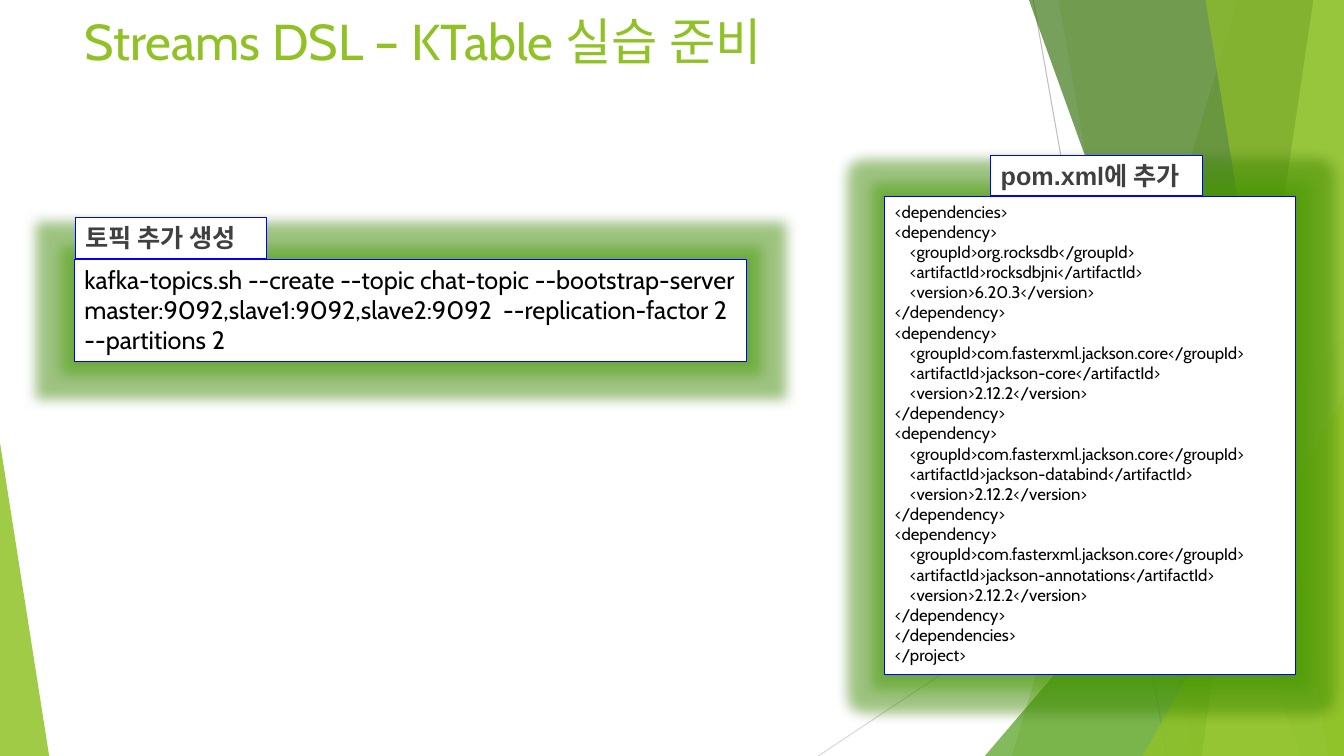
import lxml.etree
import pptx
import pptx.dml.color
import pptx.enum.shapes
import pptx.oxml.ns
import pptx.util

Cm, Pt = pptx.util.Cm, pptx.util.Pt
SHAPE = pptx.enum.shapes.MSO_SHAPE
qn = pptx.oxml.ns.qn

# Content
TITLE = "Streams DSL – KTable 실습 준비"
TOPIC_LABEL = "토픽 추가 생성"
TOPIC_COMMAND = ("kafka-topics.sh --create --topic chat-topic --bootstrap-server "
                 "master:9092,slave1:9092,slave2:9092  --replication-factor 2 --partitions 2")
POM_LABEL = "pom.xml에 추가"
DEPENDENCIES = [
    ("org.rocksdb", "rocksdbjni", "6.20.3"),
    ("com.fasterxml.jackson.core", "jackson-core", "2.12.2"),
    ("com.fasterxml.jackson.core", "jackson-databind", "2.12.2"),
    ("com.fasterxml.jackson.core", "jackson-annotations", "2.12.2"),
]
COLORS = {
    "lime": "90C226", "green": "54A021", "forest": "3F7819", "pale": "C0E474",
    "glow": "4AA800", "border": "0000FF", "white": "FFFFFF", "black": "000000",
    "label": "404040", "line": "BFBFBF", "faint line": "D9D9D9",
}
WIDTH, HEIGHT = 33.87, 19.05

# Decoration, in cm: every piece reaches the bottom of the slide
RAYS = [(26.04, 0, 29.41, HEIGHT, "line"), (WIDTH, 10.24, 20.62, HEIGHT, "faint line")]
# kind, left x at top / left, left x at bottom / top, colour, opacity in percent
BANDS = [
    ("band", 31.19, 25.5, "lime", 30),
    ("band", 26.67, 30.05, "lime", 20),
    ("triangle", 24.82, 8.46, "green", 72),
    ("band", 25.93, 32.79, "forest", 70),
    ("band", 33.1, 30.28, "pale", 70),
    ("band", 30.38, 33.48, "lime", 65),
    ("triangle", 28.8, 9.98, "lime", 80),
]
LEFT_TRIANGLE = (0, 11.15, 1.24)

prs = pptx.Presentation()
prs.slide_width, prs.slide_height = Cm(WIDTH), Cm(HEIGHT)
s = prs.slides.add_slide(prs.slide_layouts[6])


def rgb(name):
    return pptx.dml.color.RGBColor.from_string(COLORS[name])


def add_alpha(color, percent):
    lxml.etree.SubElement(color, qn("a:alpha"), val=str(percent * 1000))


def paint(sp, color, opacity):
    sp.shadow.inherit = False
    sp.fill.solid()
    sp.fill.fore_color.rgb = rgb(color)
    sp.line.fill.background()
    add_alpha(sp.fill._xPr.find(".//" + qn("a:srgbClr")), opacity)


def add_triangle(left, top, width, apex):
    sp = s.shapes.add_shape(SHAPE.ISOSCELES_TRIANGLE, Cm(left), Cm(top),
                            Cm(width), Cm(HEIGHT - top))
    sp.adjustments[0] = apex
    return sp


def add_band(top_x, bottom_x):
    fb = s.shapes.build_freeform(Cm(top_x), 0)
    fb.add_line_segments([(Cm(WIDTH), 0), (Cm(WIDTH), Cm(HEIGHT)),
                          (Cm(bottom_x), Cm(HEIGHT))])
    return fb.convert_to_shape()


def add_effect(effects, tag, color, opacity, **attributes):
    effect = lxml.etree.SubElement(effects, qn(tag), **attributes)
    add_alpha(lxml.etree.SubElement(effect, qn("a:srgbClr"), val=COLORS[color]), opacity)


def write(sp, lines, size, font, color, bold=False):
    tf = sp.text_frame
    tf.word_wrap = True
    tf.vertical_anchor = pptx.enum.text.MSO_ANCHOR.TOP
    tf.text = "\n".join(lines)
    for p in tf.paragraphs:
        p.alignment = pptx.enum.text.PP_ALIGN.LEFT
        for r in p.runs:
            r.font.size, r.font.name, r.font.bold = Pt(size), font, bold
            r.font.color.rgb = rgb(color)


def add_box(left, top, width, height, lines, size, font, color, bold=False, glow=False):
    sp = s.shapes.add_shape(SHAPE.RECTANGLE, Cm(left), Cm(top), Cm(width), Cm(height))
    sp.shadow.inherit = False
    sp.fill.solid()
    sp.fill.fore_color.rgb = rgb("white")
    sp.line.color.rgb = rgb("border")
    sp.line.width = Pt(0.75)
    if glow:
        effects = sp._element.spPr.find(qn("a:effectLst"))
        add_effect(effects, "a:glow", "glow", 40, rad=str(Pt(18)))
        add_effect(effects, "a:outerShdw", "black", 40, blurRad=str(Pt(5)), dist="0", dir="0")
    write(sp, lines, size, font, color, bold)


# Background rays and bands
for x1, y1, x2, y2, color in RAYS:
    ray = s.shapes.add_connector(pptx.enum.shapes.MSO_CONNECTOR.STRAIGHT,
                                 Cm(x1), Cm(y1), Cm(x2), Cm(y2))
    ray.line.color.rgb = rgb(color)
    ray.line.width = Pt(0.75)
    lxml.etree.SubElement(ray._element.spPr, qn("a:effectLst"))
for kind, a, b, color, opacity in BANDS:
    sp = add_band(a, b) if kind == "band" else add_triangle(a, b, WIDTH - a, 1)
    paint(sp, color, opacity)
paint(add_triangle(*LEFT_TRIANGLE, 0), "lime", 85)

# Dependency listing
pom_lines = ["<dependencies>"]
for group, artifact, version in DEPENDENCIES:
    pom_lines += ["<dependency>",
                  f"    <groupId>{group}</groupId>",
                  f"    <artifactId>{artifact}</artifactId>",
                  f"    <version>{version}</version>",
                  "</dependency>"]
pom_lines += ["</dependencies>", "</project>"]
add_box(22.3, 4.95, 10.36, 12.06, pom_lines, 12, "Cabin", "black", glow=True)

# Title
title = s.shapes.add_textbox(Cm(1.88), Cm(0.13), Cm(23.88), Cm(3.66))
write(title, [TITLE], 36, "Cabin", "lime")

# Labels and topic command
add_box(24.97, 3.91, 5.33, 1.02, [POM_LABEL], 18, "Arial", "label", bold=True)
add_box(1.88, 6.53, 16.94, 2.57, [TOPIC_COMMAND], 18, "Cabin", "black", glow=True)
add_box(1.9, 5.49, 4.83, 1.02, [TOPIC_LABEL], 18, "Arial", "label", bold=True)

prs.save("out.pptx")
